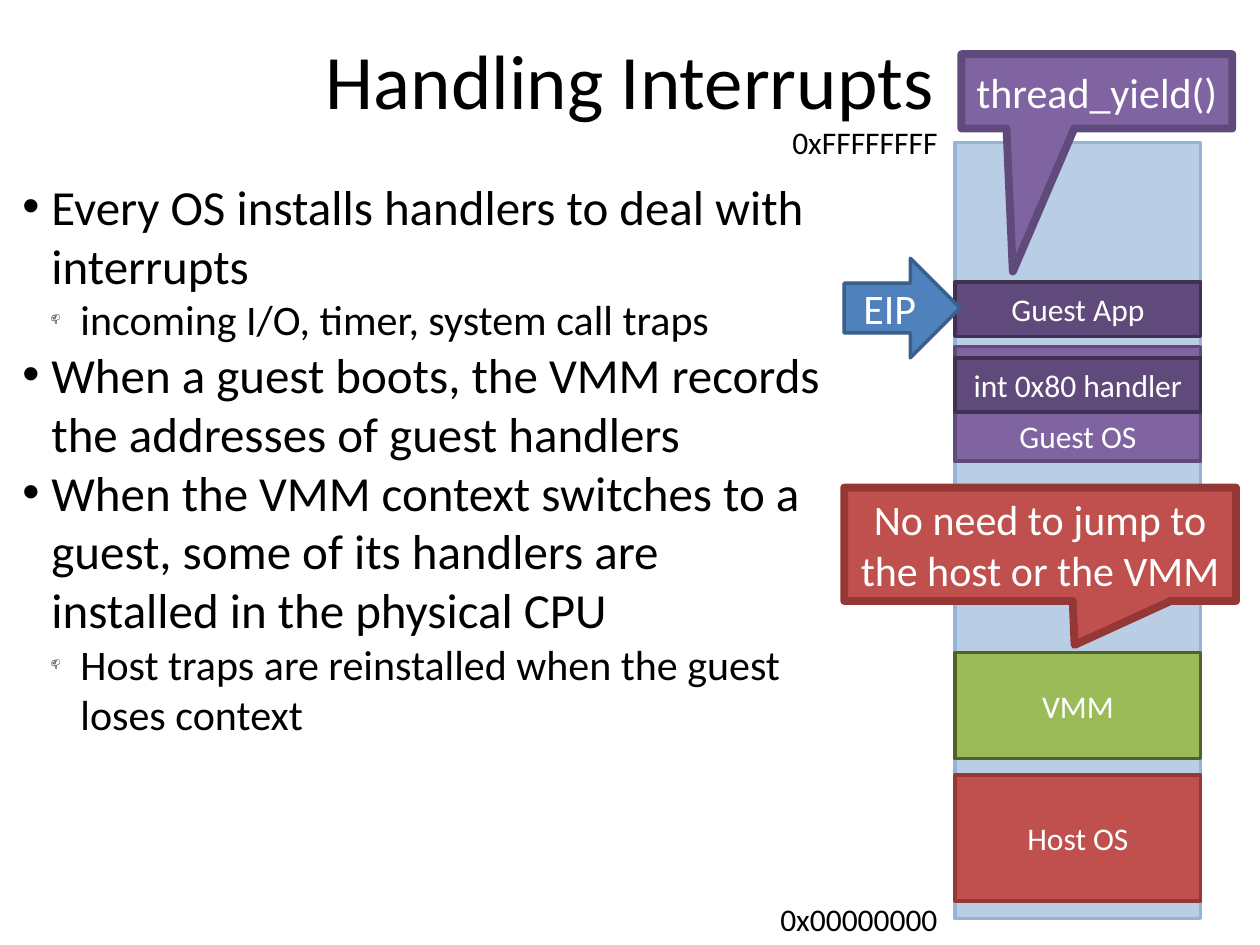
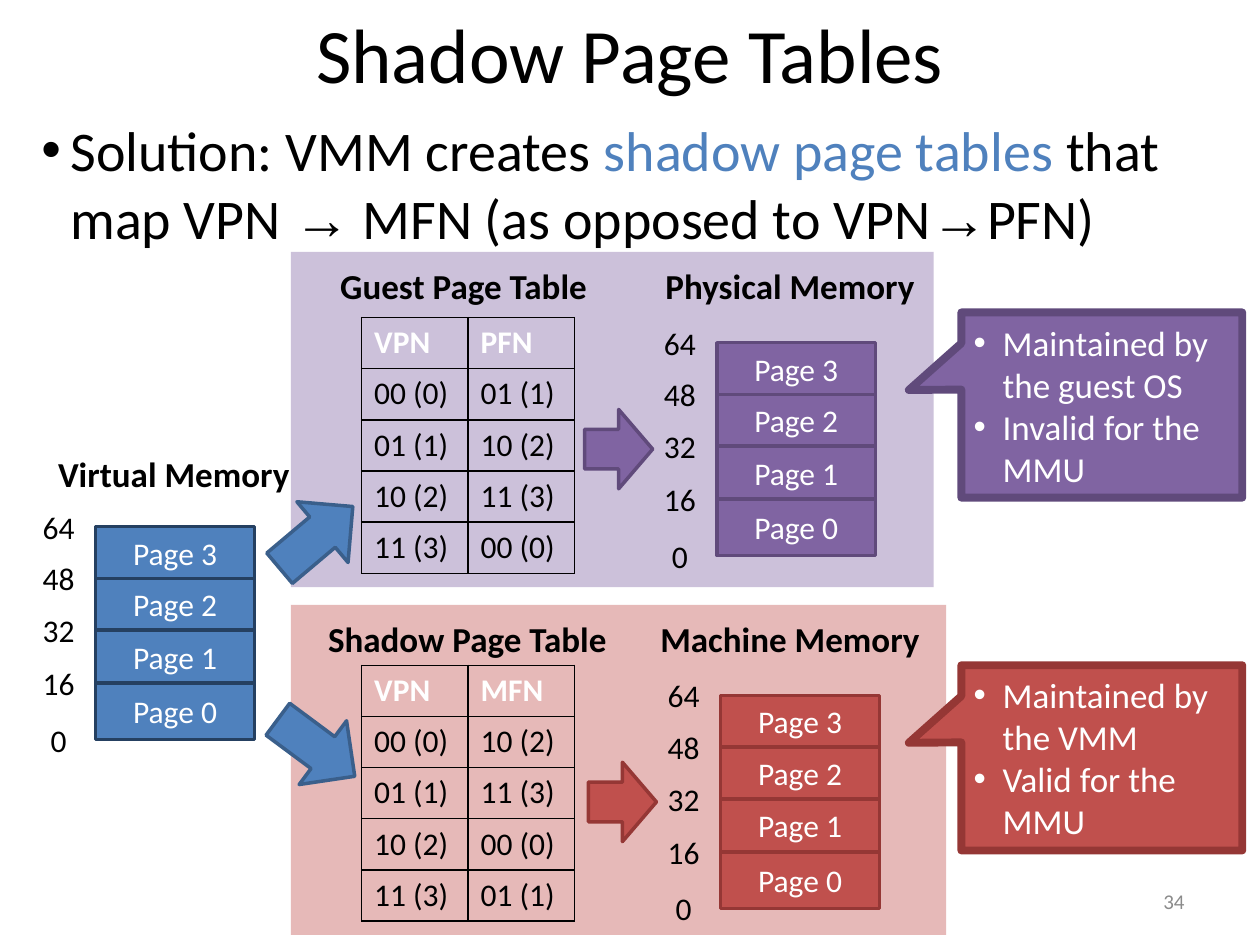
from collections import namedtuple

from lxml import etree
from pptx import Presentation
from pptx.dml.color import RGBColor
from pptx.enum.shapes import MSO_SHAPE as SHAPE
from pptx.enum.text import MSO_ANCHOR as ANCHOR, PP_ALIGN as ALIGN
from pptx.oxml.ns import qn
from pptx.util import Inches, Pt

# The slide is a grid of 10 columns by 7.5 rows of square cells.
COLS, ROWS = 10, 7.5
CELL = Inches(1)

BLACK = RGBColor(0x00, 0x00, 0x00)
WHITE = RGBColor(0xFF, 0xFF, 0xFF)
GREY = RGBColor(0x8B, 0x8B, 0x8B)
BLUE = RGBColor(0x4F, 0x81, 0xBD)
BLUE_EDGE = RGBColor(0x3A, 0x5F, 0x8B)
NAVY = RGBColor(0x25, 0x40, 0x61)
PALE_BLUE = RGBColor(0xB9, 0xCD, 0xE5)
SKY = RGBColor(0x95, 0xB3, 0xD7)
PURPLE = RGBColor(0x80, 0x64, 0xA2)
PLUM = RGBColor(0x60, 0x4A, 0x7B)
DARK_PLUM = RGBColor(0x40, 0x31, 0x52)
LILAC = RGBColor(0xCC, 0xC1, 0xDA)
RED = RGBColor(0xC0, 0x50, 0x4D)
DARK_RED = RGBColor(0x95, 0x37, 0x35)
PINK = RGBColor(0xE6, 0xB9, 0xB8)
GREEN = RGBColor(0x9B, 0xBB, 0x59)
DARK_GREEN = RGBColor(0x4F, 0x62, 0x28)

PURPLE_PAIR = (PURPLE, PLUM)
PLUM_PAIR = (PLUM, DARK_PLUM)
RED_PAIR = (RED, DARK_RED)
BLUE_PAIR = (BLUE, BLUE_EDGE)

FONT = "Calibri"
INDENT = 0.23
LABEL_HEIGHT = 0.4
TITLE_FORMAT = dict(size=44, color=BLACK)
LABEL_FORMAT = dict(size=18, color=BLACK)
HEADING_FORMAT = dict(size=20, color=BLACK, bold=True)

PAGES = ("Page 3", "Page 2", "Page 1", "Page 0")
PAGE_EDGES = (0, 0.41, 0.82, 1.24, 1.69)
ADDRESSES = ("64", "48", "32", "16", "0")

Box = namedtuple("Box", "left top width height")
Panel = namedtuple("Panel", "box tint colours table_title rows memory_title nudge notes")


def cells(*lengths):
    return [round(length * CELL) for length in lengths]


def inside(box, left, top, width, height):
    """Box whose left and top are counted from the corner of another box."""
    return Box(box.left + left, box.top + top, width, height)


def format_font(font, size, color, bold=False, name=FONT):
    values = dict(name=name, size=Pt(size), bold=bold)
    for key, value in values.items():
        setattr(font, key, value)
    font.color.rgb = color


def add_bullet(paragraph, mark, level=0, percent=100):
    props = paragraph._p.get_or_add_pPr()
    props.set("marL", str(Inches(INDENT * (level + 1))))
    props.set("indent", str(-Inches(INDENT)))
    etree.SubElement(props, qn("a:buSzPct"), val=str(percent * 1000))
    etree.SubElement(props, qn("a:buFont"), typeface="Arial")
    etree.SubElement(props, qn("a:buChar"), char=mark)


def paragraphs(frame, count):
    return [frame.paragraphs[0]] + [frame.add_paragraph() for _ in range(count - 1)]


def write_line(paragraph, text, align, **font):
    paragraph.alignment = align
    run = paragraph.add_run()
    run.text = text
    format_font(run.font, **font)


def add_text(slide, box, text="", align=ALIGN.LEFT, anchor=ANCHOR.TOP, wrap=False, **font):
    frame = slide.shapes.add_textbox(*cells(*box)).text_frame
    frame.word_wrap = wrap
    frame.vertical_anchor = anchor
    if text:
        write_line(frame.paragraphs[0], text, align, **font)
    return frame


def add_block(slide, kind, box, colours, text="", size=18, line=2, anchor=ANCHOR.MIDDLE):
    """Filled shape; colours is (fill, edge), and an edge of None means no line."""
    fill, edge = colours
    block = slide.shapes.add_shape(kind, *cells(*box))
    block.shadow.inherit = False
    block.fill.solid()
    block.fill.fore_color.rgb = fill
    if edge is None:
        block.line.fill.background()
    else:
        block.line.color.rgb = edge
        block.line.width = Pt(line)
    block.text_frame.word_wrap = True
    block.text_frame.vertical_anchor = anchor
    if text:
        write_line(block.text_frame.paragraphs[0], text, ALIGN.CENTER, size=size, color=WHITE)
    return block


def add_callout(slide, box, colours, tip, text=""):
    callout = add_block(slide, SHAPE.RECTANGULAR_CALLOUT, box, colours, text, 24, 4.5)
    callout.adjustments[0], callout.adjustments[1] = tip
    return callout


def new_slide(deck, title, height):
    slide = deck.slides.add_slide(deck.slide_layouts[5])
    heading = slide.shapes.title
    place = dict(zip(Box._fields, cells(0.5, 0, COLS - 1, height)))
    for key, value in place.items():
        setattr(heading, key, value)
    heading.text_frame.vertical_anchor = ANCHOR.MIDDLE
    write_line(heading.text_frame.paragraphs[0], title, ALIGN.CENTER, **TITLE_FORMAT)
    return slide


def add_outline(slide, box, points):
    frame = add_text(slide, box, wrap=True)
    for paragraph, (level, text) in zip(paragraphs(frame, len(points)), points):
        mark, percent, size = (("•", 100, 28), ("📫", 25, 24))[level]
        add_bullet(paragraph, mark, level, percent)
        write_line(paragraph, text, ALIGN.LEFT, size=size, color=BLACK)


def add_address_space(slide, box):
    """Memory column with its address limits, regions and instruction pointer."""
    add_block(slide, SHAPE.RECTANGLE, box, (PALE_BLUE, SKY))
    for edge, address in ((0, "0xFFFFFFFF"), (box.height, "0x00000000")):
        label = inside(box, -1.49, edge - LABEL_HEIGHT / 2, 1.45, LABEL_HEIGHT)
        add_text(slide, label, address, ALIGN.RIGHT, **LABEL_FORMAT)

    regions = (
        ("Host OS", 5.02, 1, RED_PAIR, ANCHOR.MIDDLE),
        ("VMM", 4.05, 0.84, (GREEN, DARK_GREEN), ANCHOR.MIDDLE),
        ("Guest OS", 1.62, 0.91, PURPLE_PAIR, ANCHOR.BOTTOM),
        ("Guest App", 1.11, 0.43, PLUM_PAIR, ANCHOR.MIDDLE),
        ("int 0x80 handler", 1.71, 0.43, PLUM_PAIR, ANCHOR.MIDDLE),
    )
    for name, top, height, colours, anchor in regions:
        region = inside(box, 0, top, box.width, height)
        add_block(slide, SHAPE.RECTANGLE, region, colours, name, anchor=anchor)

    add_callout(slide, inside(box, -0.88, 2.74, 3.11, 0.9), RED_PAIR, (0.088, 0.888),
                "No need to jump to the host or the VMM")
    add_callout(slide, inside(box, 0.05, -0.7, 2.15, 0.59), PURPLE_PAIR, (-0.31, 2.424),
                "thread_yield()")
    add_block(slide, SHAPE.RIGHT_ARROW, inside(box, -0.88, 0.92, 0.92, 0.79),
              BLUE_PAIR, "EIP", 24)


def add_page_stack(slide, left, top, colours):
    """Four pages of memory with an address centred on each edge."""
    stack = Box(left, top, 1.26, PAGE_EDGES[-1])
    for name, start, end in zip(PAGES, PAGE_EDGES, PAGE_EDGES[1:]):
        page = inside(stack, 0, start, stack.width, end - start)
        add_block(slide, SHAPE.RECTANGLE, page, colours, name)
    for address, edge in zip(ADDRESSES, PAGE_EDGES):
        label = inside(stack, -0.52, edge - LABEL_HEIGHT / 2, 0.45, LABEL_HEIGHT)
        add_text(slide, label, address, ALIGN.CENTER, **LABEL_FORMAT)


def add_heading(slide, center, top, text):
    width = 2.6
    add_text(slide, Box(center - width / 2, top, width, 0.43), text, ALIGN.CENTER,
             **HEADING_FORMAT)


def outline_cell(cell):
    props = cell._tc.get_or_add_tcPr()
    for side in ("lnL", "lnR", "lnT", "lnB"):
        border = etree.SubElement(props, qn(f"a:{side}"), w=str(Pt(1)))
        fill = etree.SubElement(border, qn("a:solidFill"))
        etree.SubElement(fill, qn("a:srgbClr"), val=str(BLACK))
    cell.fill.background()


def add_page_table(slide, box, rows):
    table = slide.shapes.add_table(len(rows), len(rows[0]), *cells(*box)).table
    table.first_row = table.horz_banding = False
    for r, row in enumerate(rows):
        for c, value in enumerate(row):
            cell = table.cell(r, c)
            outline_cell(cell)
            write_line(cell.text_frame.paragraphs[0], value, ALIGN.LEFT, size=18,
                       color=BLACK if r else WHITE, bold=r == 0)


def add_panel(slide, panel):
    """Tinted band: page table, arrow, memory, and a callout at the right."""
    box = panel.box
    add_block(slide, SHAPE.RECTANGLE, box, (panel.tint, None))
    add_heading(slide, box.left + 1.37 + panel.nudge, box.top + 0.05, panel.table_title)
    add_heading(slide, box.left + 3.96, box.top + 0.05, panel.memory_title)
    add_page_table(slide, inside(box, 0.56, box.height - 2.14, 1.69, 2.03), panel.rows)
    add_block(slide, SHAPE.RIGHT_ARROW, inside(box, 2.33 + panel.nudge, 1.25, 0.54, 0.63),
              panel.colours)
    add_page_stack(slide, box.left + 3.38 + panel.nudge, box.top + 0.72, panel.colours)

    callout = add_callout(slide, inside(box, 5.32, 0.48, 2.23, 1.47), panel.colours,
                          (-0.687, -0.081))
    for paragraph, note in zip(paragraphs(callout.text_frame, len(panel.notes)), panel.notes):
        add_bullet(paragraph, "•")
        write_line(paragraph, note, ALIGN.LEFT, size=20, color=WHITE)


def add_virtual_memory(slide, left, top):
    add_heading(slide, left + 0.62, top - 0.64, "Virtual Memory")
    add_page_stack(slide, left, top, (BLUE, NAVY))
    for drop, angle in ((-0.23, 319.9), (1.44, 36.6)):
        arrow = add_block(slide, SHAPE.RIGHT_ARROW,
                          Box(left + 1.37, top + drop, 0.76, 0.63), BLUE_PAIR)
        arrow.rotation = angle


def add_solution(slide, box):
    paragraph = add_text(slide, box, wrap=True).paragraphs[0]
    add_bullet(paragraph, "•")
    runs = (
        ("Solution: VMM creates ", BLACK, FONT),
        ("shadow page tables", BLUE, FONT),
        (" that map VPN ", BLACK, FONT),
        ("→", BLACK, "Arial"),
        (" MFN (as opposed to VPN", BLACK, FONT),
        ("→", BLACK, "Arial"),
        ("PFN)", BLACK, FONT),
    )
    for text, color, name in runs:
        write_line(paragraph, text, ALIGN.LEFT, size=32, color=color, name=name)


def build_interrupts(deck):
    slide = new_slide(deck, "Handling Interrupts", 1.25)
    add_outline(slide, Box(0.08, 1.35, 6.58, 6.02), (
        (0, "Every OS installs handlers to deal with interrupts"),
        (1, "incoming I/O, timer, system call traps"),
        (0, "When a guest boots, the VMM records the addresses of guest handlers"),
        (0, "When the VMM context switches to a guest, some of its handlers are "
            "installed in the physical CPU"),
        (1, "Host traps are reinstalled when the guest loses context"),
    ))
    add_address_space(slide, Box(7.58, 1.13, 1.95, 6.16))


def build_shadow_tables(deck):
    pages = ("00 (0)", "01 (1)", "10 (2)", "11 (3)")
    guest_frames = ("01 (1)", "10 (2)", "11 (3)", "00 (0)")
    machine_frames = ("10 (2)", "11 (3)", "00 (0)", "01 (1)")
    panels = (
        Panel(Box(2.31, 2, 5.1, 2.66), LILAC, PURPLE_PAIR, "Guest Page Table",
              [("VPN", "PFN"), *zip(pages, guest_frames)], "Physical Memory", 0,
              ("Maintained by the guest OS", "Invalid for the MMU")),
        Panel(Box(2.31, 4.8, 5.2, 2.62), PINK, RED_PAIR, "Shadow Page Table",
              [("VPN", "MFN"), *zip(pages, machine_frames)], "Machine Memory", 0.03,
              ("Maintained by the VMM", "Valid for the MMU")),
    )
    slide = new_slide(deck, "Shadow Page Tables", 0.84)
    for panel in panels:
        add_panel(slide, panel)
    add_solution(slide, Box(0.23, 0.87, 9.55, 1.37))
    add_virtual_memory(slide, 0.76, 4.18)
    add_text(slide, Box(7.17, 6.95, 2.33, LABEL_HEIGHT), "34", ALIGN.RIGHT, ANCHOR.MIDDLE,
             wrap=True, size=12, color=GREY)


def main():
    deck = Presentation()
    deck.slide_width, deck.slide_height = cells(COLS, ROWS)
    build_interrupts(deck)
    build_shadow_tables(deck)
    deck.save("out.pptx")


if __name__ == "__main__":
    main()
